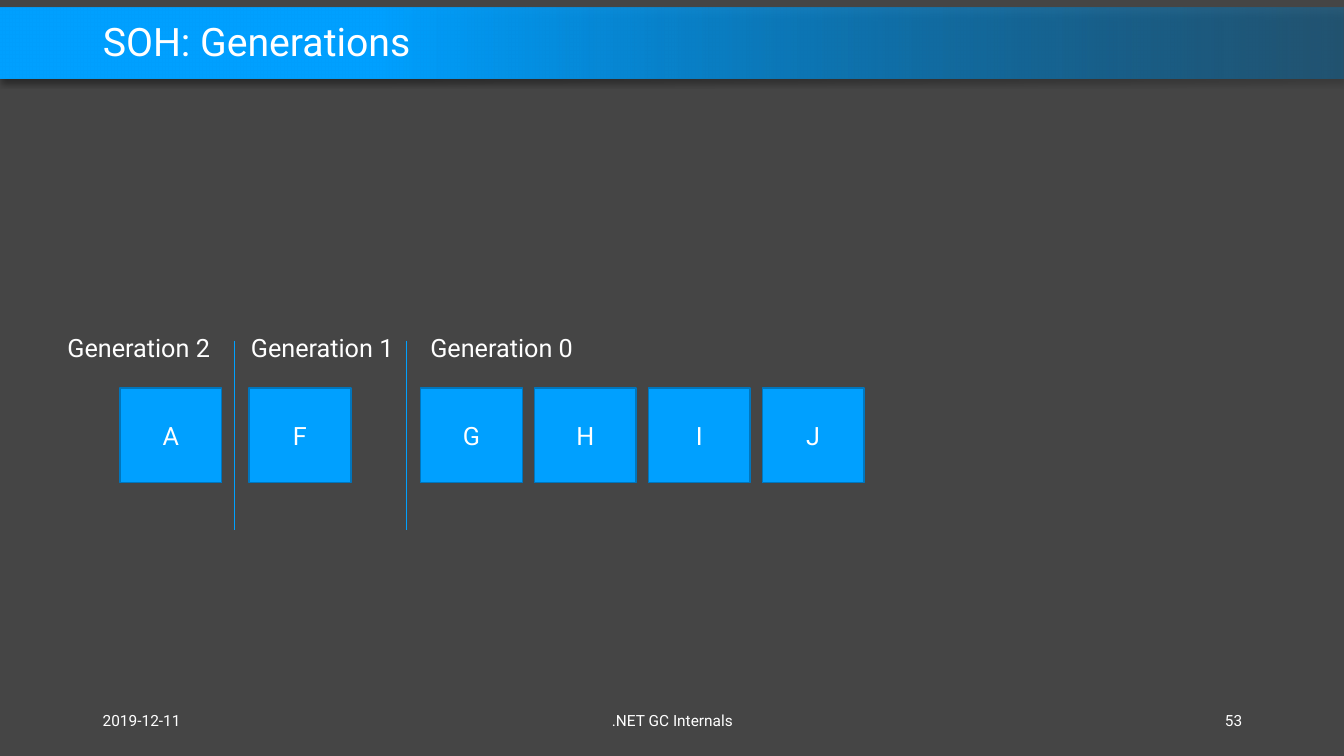
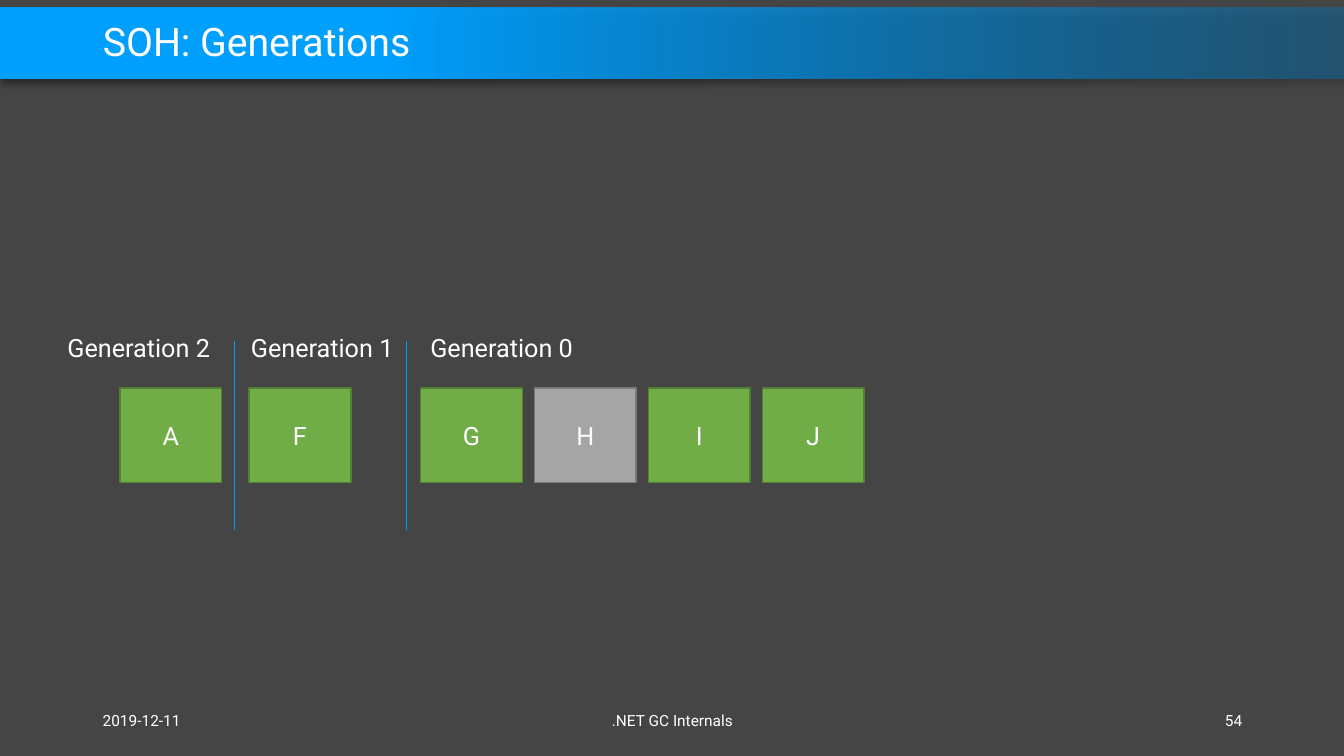
from dataclasses import dataclass

from pptx import Presentation
from pptx.dml.color import RGBColor as RGB
from pptx.enum.shapes import MSO_CONNECTOR as CONNECTOR, MSO_SHAPE as SHAPE
from pptx.enum.text import MSO_ANCHOR as ANCHOR, MSO_AUTO_SIZE as AUTO_SIZE, PP_ALIGN as ALIGN
from pptx.oxml import parse_xml
from pptx.oxml.ns import nsdecls
from pptx.util import Inches, Pt


@dataclass(frozen=True)
class Theme:
    font: str = "Roboto"
    background: str = "454545"
    text: str = "FFFFFF"
    accent: str = "00A0FF"
    band_end: str = "0078BF"
    # Fill and outline of the object boxes
    plain: tuple = ("00A0FF", "0076BD")
    reachable: tuple = ("70AD47", "538035")
    unreachable: tuple = ("A5A5A5", "7A7A7A")
    title_size: int = 28
    body_size: int = 18
    footer_size: int = 11


THEME = Theme()
SLIDE_W, SLIDE_H = Inches(13.33), Inches(7.5)

BOX_W, BOX_H, BOX_TOP, BOX_PITCH = 1.01, 0.94, 3.85, 1.13
LABEL_TOP, LABEL_W, LABEL_H = 3.25, 1.64, 0.4
DIVIDER_TOP, DIVIDER_BOTTOM = 3.38, 5.26
FOOTER_TOP, FOOTER_H = 6.95, 0.4

# Name, label left, first box left, objects
GENERATIONS = [
    ("Generation 2", 0.57, 1.19, "A"),
    ("Generation 1", 2.39, 2.47, "F"),
    ("Generation 0", 4.17, 4.17, "GHIJ"),
]
DIVIDERS = [2.32, 4.03]

# Page number, box colours, colours of the objects that differ
PAGES = [
    (53, THEME.plain, {}),
    (54, THEME.reachable, {"H": THEME.unreachable}),
]


def write(frame, text, size, align=ALIGN.LEFT):
    frame.text = text
    paragraph = frame.paragraphs[0]
    paragraph.alignment = align
    paragraph.font.name = THEME.font
    paragraph.font.size = Pt(size)
    paragraph.font.color.rgb = RGB.from_string(THEME.text)
    return paragraph


def add_text(slide, text, left, top, width, height, size, align=ALIGN.LEFT):
    box = slide.shapes.add_textbox(Inches(left), Inches(top), Inches(width), Inches(height))
    write(box.text_frame, text, size, align)
    return box.text_frame


deck = Presentation()
deck.slide_width, deck.slide_height = SLIDE_W, SLIDE_H

# Shared layout: background, title band and title position
layout = deck.slide_layouts.get_by_name("Title Only")
for unused_layout in list(deck.slide_layouts):
    if unused_layout != layout:
        deck.slide_layouts.remove(unused_layout)

layout_title, *unused_footers = layout.placeholders
for unused_footer in unused_footers:
    layout.shapes.element.remove(unused_footer.element)

layout_title.left, layout_title.top = Inches(0.92), Inches(0.16)
layout_title.width, layout_title.height = Inches(11.5), Inches(0.55)
layout_title.text_frame.vertical_anchor = ANCHOR.MIDDLE

layout.background.fill.solid()
layout.background.fill.fore_color.rgb = RGB.from_string(THEME.background)

band = parse_xml(f"""
<p:sp {nsdecls("p", "a")}>
  <p:nvSpPr><p:cNvPr id="20" name="Rectangle 19"/><p:cNvSpPr/><p:nvPr/></p:nvSpPr>
  <p:spPr>
    <a:xfrm><a:off x="0" y="{Inches(0.08)}"/><a:ext cx="{SLIDE_W}" cy="{Inches(0.7)}"/></a:xfrm>
    <a:prstGeom prst="rect"><a:avLst/></a:prstGeom>
    <a:gradFill>
      <a:gsLst>
        <a:gs pos="0"><a:srgbClr val="{THEME.band_end}"><a:alpha val="40000"/></a:srgbClr></a:gs>
        <a:gs pos="72000"><a:srgbClr val="{THEME.accent}"/></a:gs>
      </a:gsLst>
      <a:lin ang="10800000" scaled="0"/>
    </a:gradFill>
    <a:ln><a:noFill/></a:ln>
    <a:effectLst>
      <a:outerShdw blurRad="{Pt(4)}" dist="{Pt(3)}" dir="5400000" algn="t" rotWithShape="0">
        <a:srgbClr val="000000"><a:alpha val="40000"/></a:srgbClr>
      </a:outerShdw>
    </a:effectLst>
  </p:spPr>
</p:sp>""")
layout.shapes.element.insert(2, band)

for page, box_colors, exceptions in PAGES:
    slide = deck.slides.add_slide(layout)
    heading = write(slide.shapes.title.text_frame, "SOH: Generations", THEME.title_size)
    heading.line_spacing = 0.9

    for text, left, width, align in [
        ("2019-12-11", 0.92, 3, ALIGN.LEFT),
        (".NET GC Internals", 4.42, 4.5, ALIGN.CENTER),
        (str(page), 9.42, 3, ALIGN.RIGHT),
    ]:
        footer = add_text(slide, text, left, FOOTER_TOP, width, FOOTER_H, THEME.footer_size, align)
        footer.word_wrap = True
        footer.vertical_anchor = ANCHOR.MIDDLE

    for x in DIVIDERS:
        divider = slide.shapes.add_connector(
            CONNECTOR.STRAIGHT, Inches(x), Inches(DIVIDER_TOP), Inches(x), Inches(DIVIDER_BOTTOM))
        divider.line.color.rgb = RGB.from_string(THEME.accent)
        divider.line.width = Pt(0.5)
        divider.element.spPr.append(parse_xml(f"<a:effectLst {nsdecls('a')}/>"))

    for generation, label_left, first_left, objects in GENERATIONS:
        label = add_text(slide, generation, label_left, LABEL_TOP, LABEL_W, LABEL_H, THEME.body_size)
        label.word_wrap = False
        label.auto_size = AUTO_SIZE.SHAPE_TO_FIT_TEXT

        for index, letter in enumerate(objects):
            fill, outline = exceptions.get(letter, box_colors)
            box = slide.shapes.add_shape(
                SHAPE.RECTANGLE, Inches(first_left + index * BOX_PITCH), Inches(BOX_TOP),
                Inches(BOX_W), Inches(BOX_H))
            box.shadow.inherit = False
            box.fill.solid()
            box.fill.fore_color.rgb = RGB.from_string(fill)
            box.line.color.rgb = RGB.from_string(outline)
            box.line.width = Pt(1)
            box.text_frame.vertical_anchor = ANCHOR.MIDDLE
            write(box.text_frame, letter, THEME.body_size, ALIGN.CENTER)

deck.save("out.pptx")
